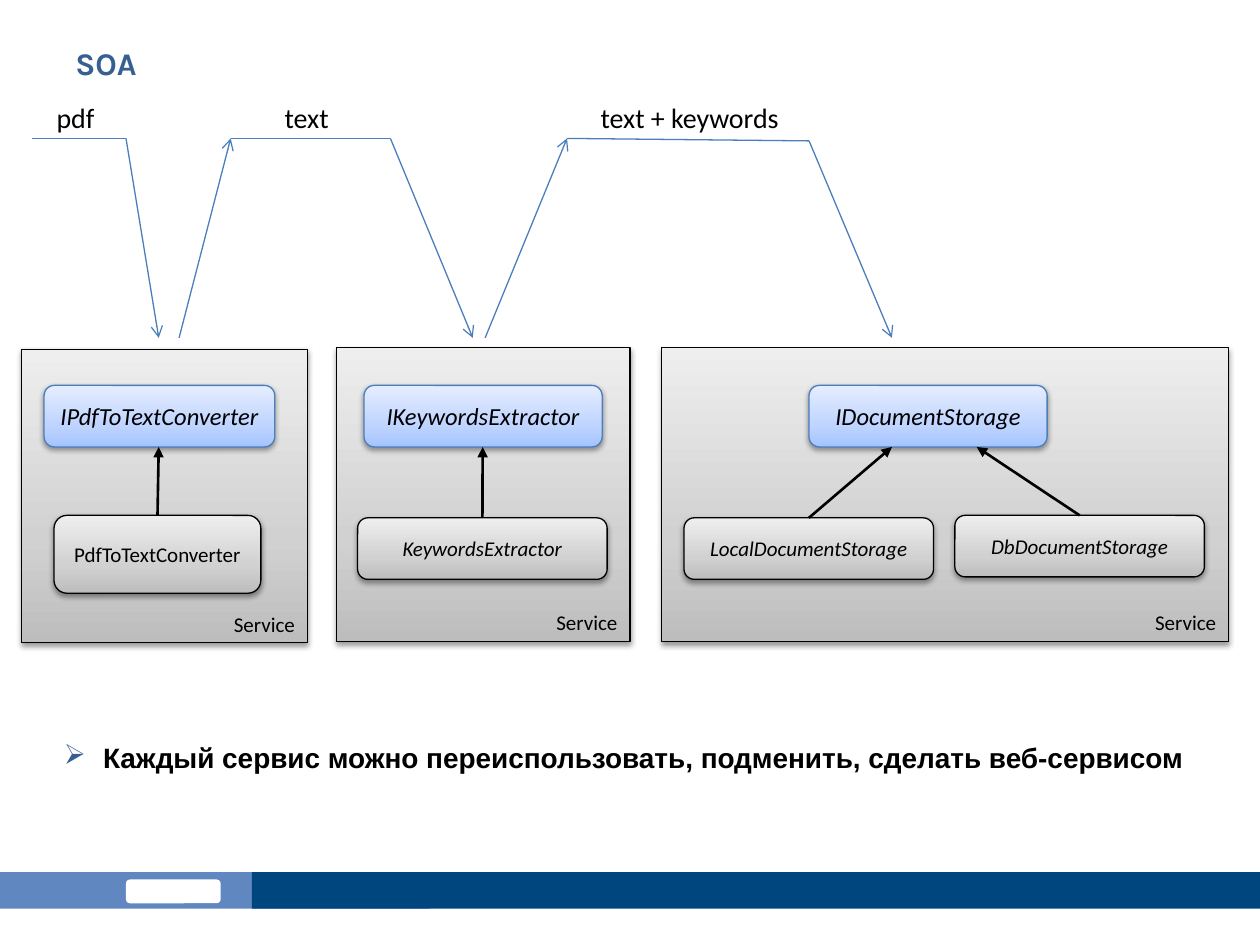
"""Build the SOA slide: three services passing a document along."""
from lxml import etree
from pptx import Presentation
from pptx import util as u
from pptx.dml.color import RGBColor
from pptx.enum import shapes, text
from pptx.oxml.ns import qn

COLORS = {
    "black": "000000", "white": "FFFFFF", "heading": "376092", "flow": "4B7EBC",
    "footer": "00467E", "footer_tab": "6087BF",
}
GRADIENTS = {
    "gray": ("BDBDBD", "D1D1D1", "EEEEEE"),
    "blue": ("A4C4FF", "BFD4FF", "E6EEFF"),
}
STOPS = (0, 35, 100)
FRAME_HEIGHT = 5.92
INTERFACE_TOP, INTERFACE_HEIGHT = 7.77, 1.24
FLOW_TOP, FLOW_BOTTOM = 2.79, 6.81
LABEL_TOP, LABEL_HEIGHT = 1.9, 0.94

# name, left, width of each interface; its frame; its implementations with arrow target
SERVICES = [
    (("IPdfToTextConverter", 0.89, 4.65), (0.43, 7.04, 5.77),
     [("PdfToTextConverter", (1.09, 10.39, 4.17, 1.57), 3.2, False)]),
    (("IKeywordsExtractor", 7.34, 4.8), (6.78, 7.01, 5.92),
     [("KeywordsExtractor", (7.21, 10.44, 5.03, 1.24), 9.73, True)]),
    (("IDocumentStorage", 16.31, 4.8), (13.34, 7.01, 11.43),
     [("LocalDocumentStorage", (13.79, 10.44, 5.03, 1.24), 17.98, True),
      ("DbDocumentStorage", (19.25, 10.39, 5.03, 1.24), 19.69, True)]),
]
# label, its left and width, x of rise, left end, right end and fall, drop of right end
MESSAGES = [
    ("pdf", 0.89, 1.3, None, 0.64, 2.54, 3.2, 0),
    ("text", 5.49, 1.42, 3.61, 4.65, 7.87, 9.53, 0),
    ("text + keywords", 11.86, 4.17, 9.78, 11.43, 16.31, 17.98, 0.05),
]


def rgb(name):
    """Return the named colour."""
    return RGBColor.from_string(COLORS[name])


def cm(*lengths):
    """Convert centimetre numbers to lengths."""
    return [u.Cm(length) for length in lengths]


def write(frame, words, size=12, font="Calibri", color="black", bold=False, italic=False,
          align=text.PP_ALIGN.LEFT, anchor=text.MSO_ANCHOR.TOP, wrap=True):
    """Put one formatted paragraph in a text frame and return it."""
    frame.word_wrap = wrap
    frame.vertical_anchor = anchor
    paragraph = frame.paragraphs[0]
    paragraph.alignment = align
    run = paragraph.add_run()
    run.text = words
    run.font.size = u.Pt(size)
    run.font.name = font
    run.font.bold = bold
    run.font.italic = italic
    run.font.color.rgb = rgb(color)
    return paragraph


def add_label(slide, place, words, **style):
    """Add a text box and return its paragraph."""
    return write(slide.shapes.add_textbox(*cm(*place)).text_frame, words, **style)


def add_plain(slide, place, color, kind=shapes.MSO_SHAPE.RECTANGLE):
    """Add a flat shape without outline."""
    block = slide.shapes.add_shape(kind, *cm(*place))
    block.shadow.inherit = False
    block.fill.solid()
    block.fill.fore_color.rgb = rgb(color)
    block.line.fill.background()


def add_color(parent, value):
    """Append a colour element and return it."""
    return etree.SubElement(parent, qn("a:srgbClr"), val=value)


def add_box(slide, kind, place, gradient, outline, words, **style):
    """Add a shaded box with a soft shadow and text."""
    box = slide.shapes.add_shape(kind, *cm(*place))
    box.fill.gradient()
    box.fill.gradient_angle = 90
    properties = box._element.spPr
    stops = properties.find(".//" + qn("a:gsLst"))
    for stop in list(stops):
        stops.remove(stop)
    for position, value in zip(STOPS, GRADIENTS[gradient]):
        add_color(etree.SubElement(stops, qn("a:gs"), pos=str(position * 1000)), value)
    box.line.color.rgb = rgb(outline)
    box.line.width = u.Pt(0.75)
    box.shadow.inherit = False
    shadow = etree.SubElement(properties.find(qn("a:effectLst")), qn("a:outerShdw"),
                              blurRad="40000", dist="20000", dir="5400000", rotWithShape="0")
    etree.SubElement(add_color(shadow, COLORS["black"]), qn("a:alpha"), val="38000")
    write(box.text_frame, words, **style)


def add_line(slide, start, end, color="flow", width=0.75, tip=None):
    """Add a straight line, with an arrowhead at its end if a tip is named."""
    line = slide.shapes.add_connector(shapes.MSO_CONNECTOR.STRAIGHT, *cm(*start, *end))
    line.line.color.rgb = rgb(color)
    line.line.width = u.Pt(width)
    if tip:
        etree.SubElement(line.line._get_or_add_ln(), qn("a:tailEnd"), type=tip)
    etree.SubElement(line._element.spPr, qn("a:effectLst"))


def add_service(slide, interface, frame, implementations):
    """Add a service frame with its interface and implementations."""
    left, top, width = frame
    add_box(slide, shapes.MSO_SHAPE.RECTANGLE, (left, top, width, FRAME_HEIGHT), "gray",
            "black", "Service", align=text.PP_ALIGN.RIGHT, anchor=text.MSO_ANCHOR.BOTTOM)
    centred = {"align": text.PP_ALIGN.CENTER, "anchor": text.MSO_ANCHOR.MIDDLE, "wrap": False}
    rounded = shapes.MSO_SHAPE.ROUNDED_RECTANGLE
    name, left, width = interface
    add_box(slide, rounded, (left, INTERFACE_TOP, width, INTERFACE_HEIGHT), "blue", "flow",
            name, size=14, italic=True, **centred)
    for name, place, target, italic in implementations:
        add_box(slide, rounded, place, "gray", "black", name, italic=italic, **centred)
        left, top, width, _ = place
        add_line(slide, (left + width / 2, top), (target, INTERFACE_TOP + INTERFACE_HEIGHT),
                 color="black", width=1.5, tip="triangle")


def add_message(slide, name, label_left, label_width, rise, left, right, fall, drop):
    """Add a labelled message line rising from one service and falling to the next."""
    start, end = (left, FLOW_TOP), (right, FLOW_TOP + drop)
    add_label(slide, (label_left, LABEL_TOP, label_width, LABEL_HEIGHT), name, size=16,
              wrap=False)
    if rise is not None:
        add_line(slide, (rise, FLOW_BOTTOM), start, tip="arrow")
    add_line(slide, start, end)
    add_line(slide, end, (fall, FLOW_BOTTOM), tip="arrow")


def add_bullet(paragraph, mark, color, indent):
    """Give a paragraph a coloured bullet with a hanging indent."""
    properties = paragraph._p.get_or_add_pPr()
    properties.set("marL", str(u.Cm(indent)))
    properties.set("indent", str(-u.Cm(indent)))
    add_color(etree.SubElement(properties, qn("a:buClr")), COLORS[color])
    etree.SubElement(properties, qn("a:buChar"), char=mark)


def main():
    """Build and save the slide."""
    deck = Presentation()
    deck.slide_width, deck.slide_height = cm(25.4, 19.05)
    slide = deck.slides.add_slide(deck.slide_layouts[6])
    add_plain(slide, (0, 17.58, 8.66, 0.74), "footer_tab")
    add_plain(slide, (2.54, 17.73, 1.91, 0.48), "white", shapes.MSO_SHAPE.ROUNDED_RECTANGLE)
    add_plain(slide, (5.08, 17.58, 20.32, 0.74), "footer")
    add_label(slide, (1.27, 0.76, 22.86, 1.98), "SOA", size=18, font="Karla",
              color="heading", bold=True)
    for service in SERVICES:
        add_service(slide, *service)
    for message in MESSAGES:
        add_message(slide, *message)
    summary = add_label(
        slide, (1.04, 14.81, 23.24, 1.27),
        "Каждый сервис можно переиспользовать, подменить, сделать веб-сервисом",
        size=16, font="Arial", bold=True)
    add_bullet(summary, "➢", "heading", 0.79)
    deck.save("out.pptx")


if __name__ == "__main__":
    main()
